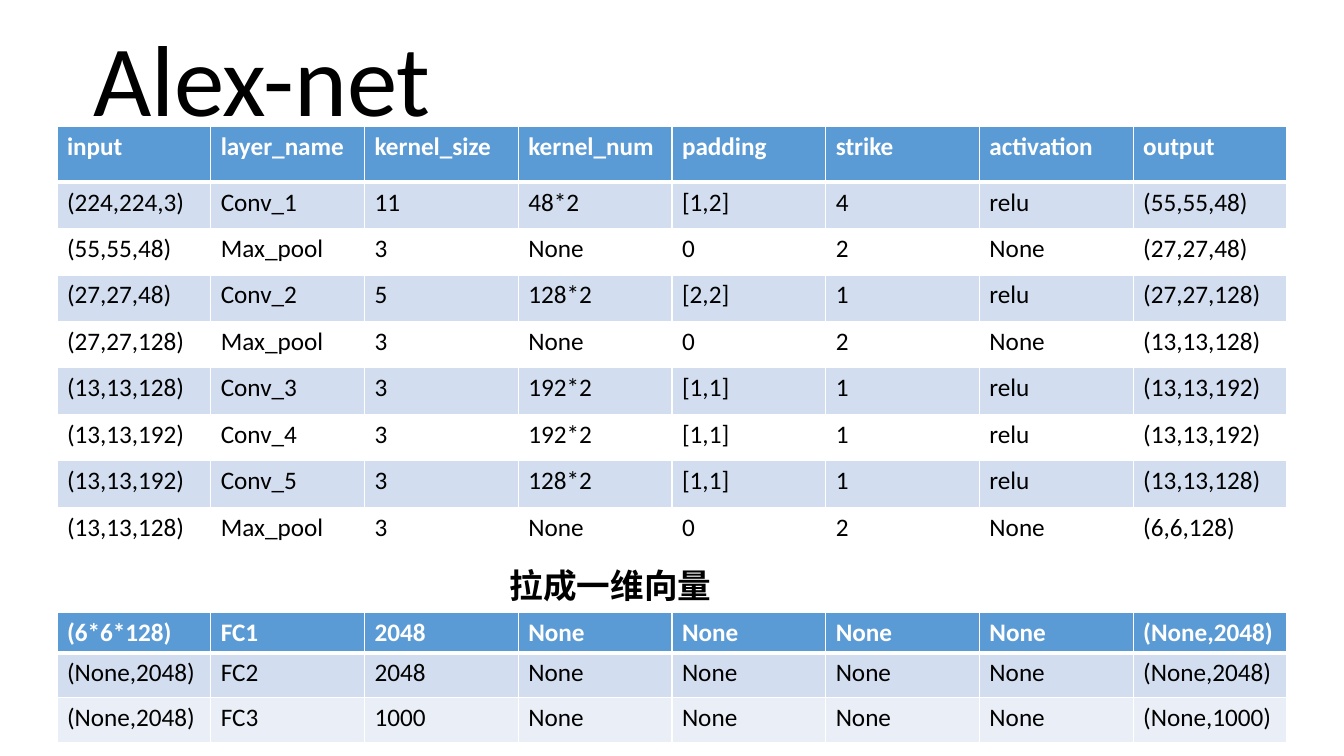
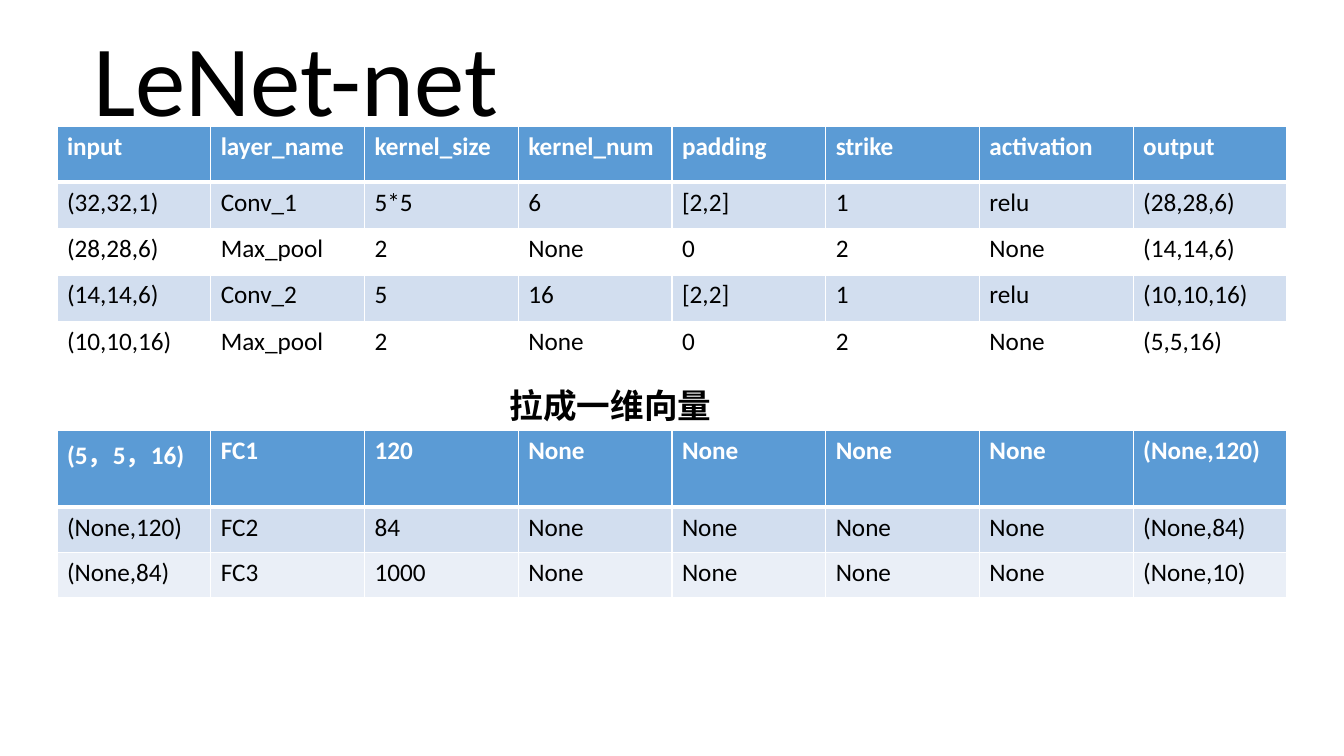
from lxml import etree
from pptx import Presentation
from pptx.dml.color import RGBColor
from pptx.enum import text
from pptx.oxml import ns
from pptx.util import Pt

WIDTH, HEIGHT = 1344, 756
SCALE = 12192000 / WIDTH

BLACK = RGBColor(0x00, 0x00, 0x00)
WHITE = RGBColor(0xFF, 0xFF, 0xFF)
BLUE = RGBColor(0x5B, 0x9B, 0xD5)
PALE_BLUE = RGBColor(0xD2, 0xDE, 0xEF)
PALEST_BLUE = RGBColor(0xEA, 0xEF, 0xF7)

TITLE_FORMAT = {"name": "Calibri", "size": Pt(72), "bold": False}
CAPTION_FORMAT = {"name": "Calibri", "size": Pt(24), "bold": True}
HEADER_FORMAT = {"name": "Calibri", "size": Pt(18), "bold": True}
BODY_FORMAT = {"name": "Calibri", "size": Pt(18), "bold": False}

TITLE_BOX = (83, 11, 1159, 146)
TABLE_LEFT, TABLE_WIDTH = 57, 1230
LAYERS_TOP = 126
LAYERS_HEADER, DENSE_HEADER = 56, 40
DENSE_HEIGHT = 130
CAPTION_LEFT, CAPTION_WIDTH, CAPTION_HEIGHT = 311, 599, 50
CAPTION = "拉成一维向量"
LAYER_HEADINGS = ("input", "layer_name", "kernel_size", "kernel_num",
                  "padding", "strike", "activation", "output")

NETWORKS = [
    {
        "title": "Alex-net",
        "layers": [
            ("(224,224,3)", "Conv_1", "11", "48*2", "[1,2]", "4", "relu", "(55,55,48)"),
            ("(55,55,48)", "Max_pool", "3", "None", "0", "2", "None", "(27,27,48)"),
            ("(27,27,48)", "Conv_2", "5", "128*2", "[2,2]", "1", "relu", "(27,27,128)"),
            ("(27,27,128)", "Max_pool", "3", "None", "0", "2", "None", "(13,13,128)"),
            ("(13,13,128)", "Conv_3", "3", "192*2", "[1,1]", "1", "relu", "(13,13,192)"),
            ("(13,13,192)", "Conv_4", "3", "192*2", "[1,1]", "1", "relu", "(13,13,192)"),
            ("(13,13,192)", "Conv_5", "3", "128*2", "[1,1]", "1", "relu", "(13,13,128)"),
            ("(13,13,128)", "Max_pool", "3", "None", "0", "2", "None", "(6,6,128)"),
        ],
        "dense": [
            ("(6*6*128)", "FC1", "2048", "(None,2048)"),
            ("(None,2048)", "FC2", "2048", "(None,2048)"),
            ("(None,2048)", "FC3", "1000", "(None,1000)"),
        ],
        "layers_height": 428,
        "caption_top": 560,
        "dense_top": 612,
    },
    {
        "title": "LeNet-net",
        "layers": [
            ("(32,32,1)", "Conv_1", "5*5", "6", "[2,2]", "1", "relu", "(28,28,6)"),
            ("(28,28,6)", "Max_pool", "2", "None", "0", "2", "None", "(14,14,6)"),
            ("(14,14,6)", "Conv_2", "5", "16", "[2,2]", "1", "relu", "(10,10,16)"),
            ("(10,10,16)", "Max_pool", "2", "None", "0", "2", "None", "(5,5,16)"),
        ],
        "dense": [
            ("(5，5，16)", "FC1", "120", "(None,120)"),
            ("(None,120)", "FC2", "84", "(None,84)"),
            ("(None,84)", "FC3", "1000", "(None,10)"),
        ],
        "layers_height": 242,
        "caption_top": 380,
        "dense_top": 430,
    },
]


def px(length):
    return round(length * SCALE)


def write(frame, content, font_format, color, alignment=text.PP_ALIGN.LEFT):
    paragraph = frame.paragraphs[0]
    paragraph.alignment = alignment
    run = paragraph.add_run()
    run.text = content
    for attribute, value in font_format.items():
        setattr(run.font, attribute, value)
    run.font.color.rgb = color
    return paragraph


def add_title(slide, content, box):
    title = slide.shapes.title
    for attribute, length in zip(("left", "top", "width", "height"), box):
        setattr(title, attribute, px(length))
    frame = title.text_frame
    frame.auto_size = text.MSO_AUTO_SIZE.NONE
    frame.vertical_anchor = text.MSO_ANCHOR.MIDDLE
    write(frame, content, TITLE_FORMAT, BLACK).line_spacing = 0.9


def add_caption(slide, content, box):
    frame = slide.shapes.add_textbox(*map(px, box)).text_frame
    frame.word_wrap = True
    write(frame, content, CAPTION_FORMAT, BLACK, text.PP_ALIGN.CENTER)


def add_borders(cell, widths):
    properties = cell._tc.get_or_add_tcPr()
    for side, width in widths.items():
        line = etree.SubElement(properties, ns.qn(f"a:ln{side}"), w=str(Pt(width)))
        fill = etree.SubElement(line, ns.qn("a:solidFill"))
        etree.SubElement(fill, ns.qn("a:srgbClr"), val=str(WHITE))


def add_grid(slide, rows, box, header_height, band_colors):
    columns = len(rows[0])
    table = slide.shapes.add_table(len(rows), columns, *map(px, box)).table
    body_height = (box[3] - header_height) / (len(rows) - 1)
    for column in table.columns:
        column.width = px(box[2] / columns)
    for index, values in enumerate(rows):
        is_header = index == 0
        table.rows[index].height = px(header_height if is_header else body_height)
        fill = BLUE if is_header else band_colors[(index - 1) % 2]
        font_format = HEADER_FORMAT if is_header else BODY_FORMAT
        widths = {"L": 1, "R": 1, "T": 3 if index == 1 else 1, "B": 3 if is_header else 1}
        for cell, value in zip(table.rows[index].cells, values):
            add_borders(cell, widths)
            cell.fill.solid()
            cell.fill.fore_color.rgb = fill
            write(cell.text_frame, value, font_format, WHITE if is_header else BLACK)


def add_network_slide(presentation, network):
    slide = presentation.slides.add_slide(presentation.slide_layouts.get_by_name("Title Only"))
    add_title(slide, network["title"], TITLE_BOX)
    add_grid(slide, [LAYER_HEADINGS, *network["layers"]],
             (TABLE_LEFT, LAYERS_TOP, TABLE_WIDTH, network["layers_height"]),
             LAYERS_HEADER, (PALE_BLUE, WHITE))
    dense_rows = [(*row[:3], *["None"] * 4, row[3]) for row in network["dense"]]
    add_grid(slide, dense_rows,
             (TABLE_LEFT, network["dense_top"], TABLE_WIDTH, DENSE_HEIGHT),
             DENSE_HEADER, (PALE_BLUE, PALEST_BLUE))
    add_caption(slide, CAPTION,
                (CAPTION_LEFT, network["caption_top"], CAPTION_WIDTH, CAPTION_HEIGHT))


def main():
    presentation = Presentation()
    presentation.slide_width = px(WIDTH)
    presentation.slide_height = px(HEIGHT)
    for network in NETWORKS:
        add_network_slide(presentation, network)
    presentation.save("out.pptx")


if __name__ == "__main__":
    main()
